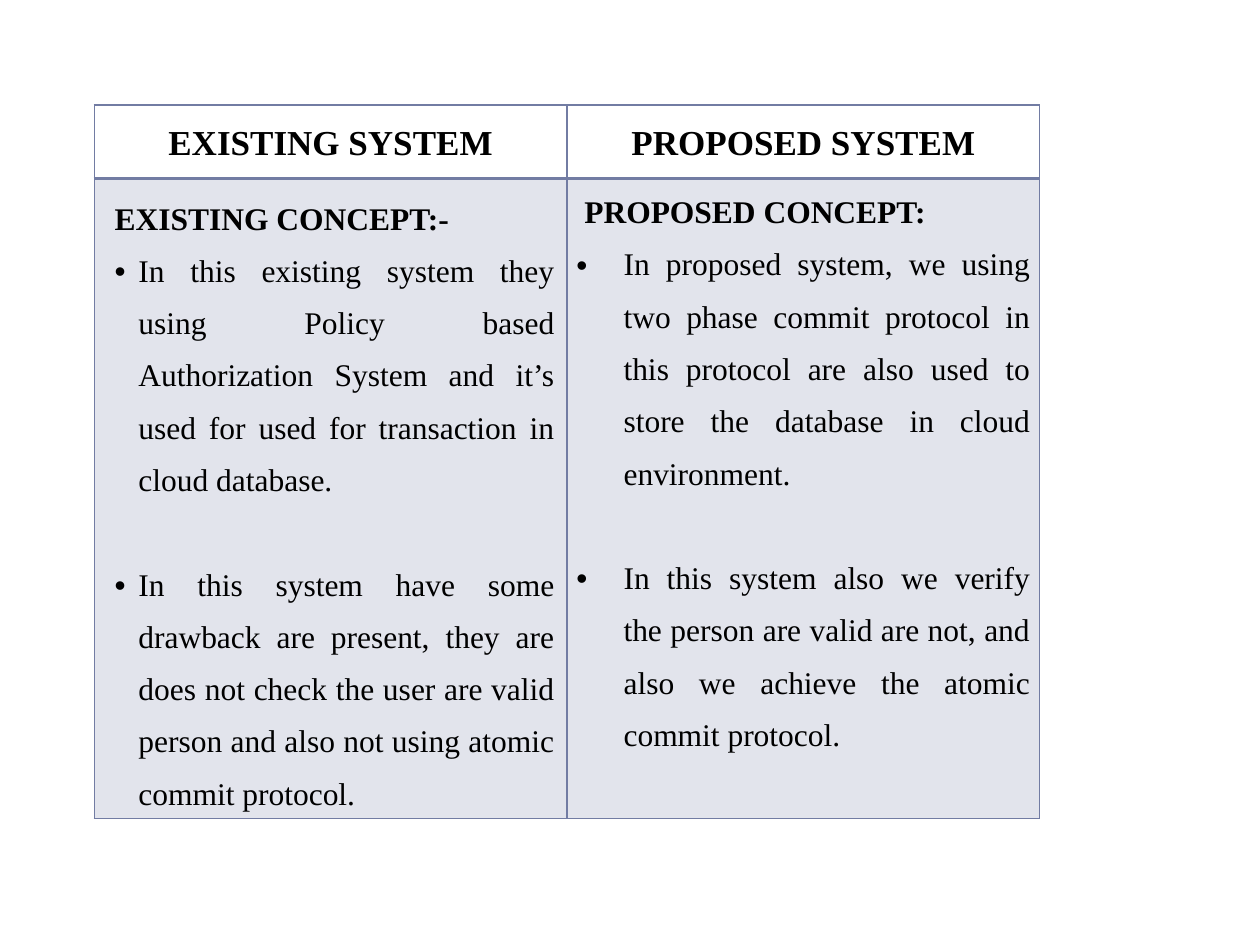
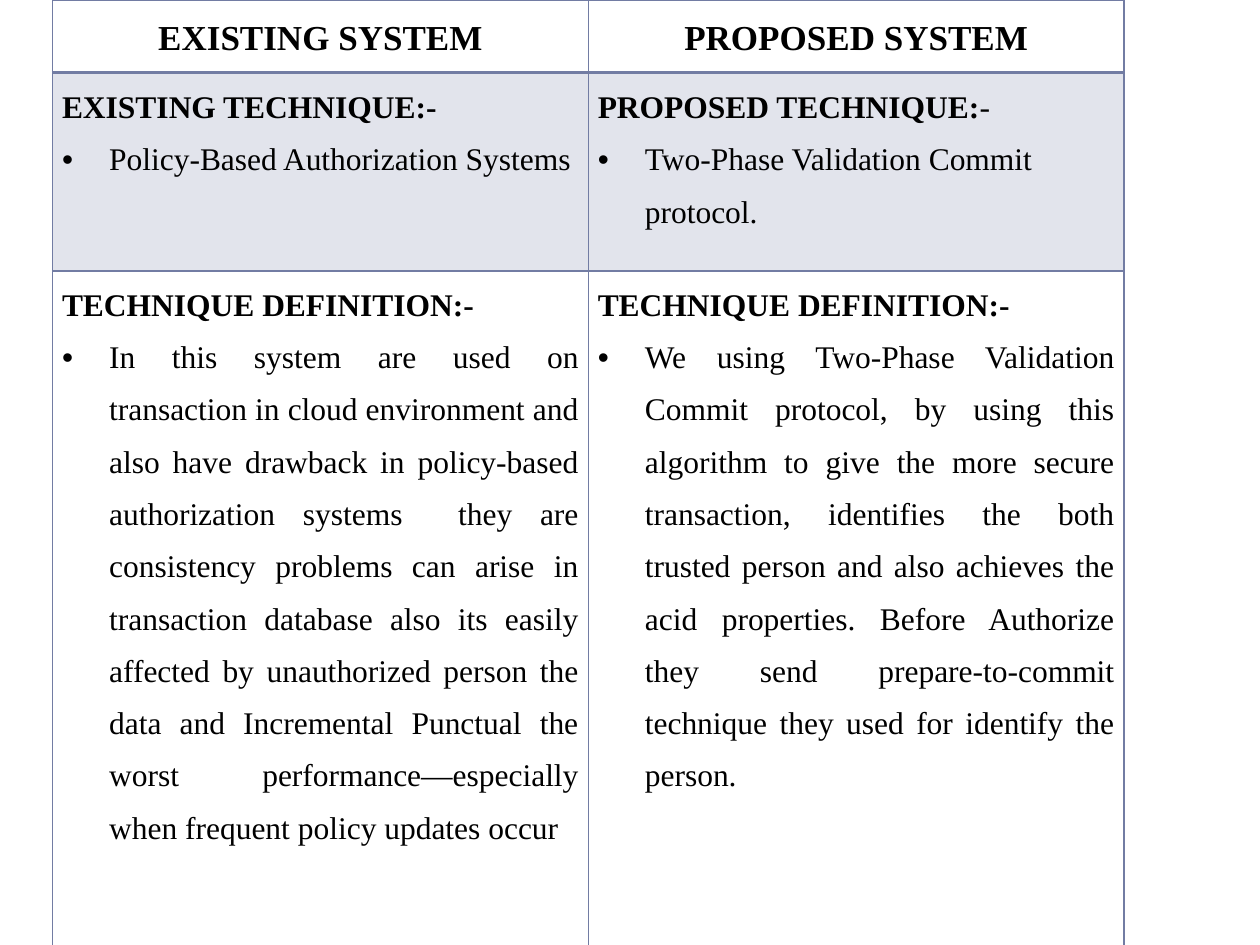
from dataclasses import dataclass, field

from lxml.etree import SubElement
from pptx import Presentation
from pptx.dml.color import RGBColor
from pptx.enum.text import PP_ALIGN as Align
from pptx.oxml.ns import qn
from pptx.util import Cm, Pt

FONT = "Times New Roman"
INK = "000000"
ACCENT = "727CA3"
TINT_ALPHA = 20
HEADER_SIZE, BODY_SIZE = 20, 18
LINE_SPACING = 1.5
HEADER_HEIGHT = 1.47
HEADERS = ["EXISTING SYSTEM", "PROPOSED SYSTEM"]


def rgb(hex_string):
    return RGBColor.from_string(hex_string)


@dataclass
class Point:
    """A bulleted paragraph; gap is the space before it in points."""
    text: str
    gap: float = 0
    align: Align = Align.JUSTIFY


@dataclass
class Entry:
    """The content of one body cell; lengths are in centimetres."""
    heading: str
    points: list
    heading_tail: str = ""
    heading_indent: float = 0
    bullet_start: float = 0
    bullet_hang: float = 0.95
    margins: tuple = field(default=(0.19, 0))


class ComparisonDeck:
    def __init__(self):
        self.deck = Presentation()
        self.deck.slide_width, self.deck.slide_height = Cm(25.4), Cm(19.05)
        self.slide = None

    def add_slide(self):
        self.slide = self.deck.slides.add_slide(self.deck.slide_layouts[6])

    def run(self, paragraph, text, size=BODY_SIZE, bold=False):
        font = self._styled(paragraph.add_run(), text).font
        font.size, font.bold = Pt(size), bold

    def _styled(self, run, text):
        run.text = text
        run.font.name = FONT
        run.font.color.rgb = rgb(INK)
        return run

    def indent(self, paragraph, start, hang=0):
        """Start the first line at start and the other lines hang further in."""
        props = paragraph._p.get_or_add_pPr()
        props.set("marL", str(Cm(start + hang)))
        props.set("indent", str(-Cm(hang)))

    def bullet(self, paragraph):
        props = paragraph._p.get_or_add_pPr()
        SubElement(props, qn("a:buFont"), typeface="Arial")
        SubElement(props, qn("a:buChar"), char="•")

    def frame_cell(self, cell, margins, bottom_width=1, tinted=False):
        cell.margin_left = cell.margin_right = Cm(margins[0])
        cell.margin_top = cell.margin_bottom = Cm(margins[1])
        props = cell._tc.get_or_add_tcPr()
        for side in "LRTB":
            width = bottom_width if side == "B" else 1
            line = SubElement(props, qn(f"a:ln{side}"), w=str(Pt(width)))
            solid = SubElement(line, qn("a:solidFill"))
            SubElement(solid, qn("a:srgbClr"), val=ACCENT)
        if tinted:
            cell.fill.solid()
            cell.fill.fore_color.rgb = rgb(ACCENT)
            color = props.find(qn("a:solidFill")).find(qn("a:srgbClr"))
            SubElement(color, qn("a:alpha"), val=str(TINT_ALPHA * 1000))
        else:
            cell.fill.background()

    def header_cell(self, cell, title):
        self.frame_cell(cell, (0.19, 0), bottom_width=2)
        paragraph = cell.text_frame.paragraphs[0]
        paragraph.alignment = Align.CENTER
        paragraph.line_spacing = LINE_SPACING
        paragraph.space_before = paragraph.space_after = Pt(6)
        self.run(paragraph, title, HEADER_SIZE, bold=True)

    def body_cell(self, cell, entry, tinted):
        self.frame_cell(cell, entry.margins, tinted=tinted)
        heading = cell.text_frame.paragraphs[0]
        heading.line_spacing = LINE_SPACING
        self.indent(heading, entry.heading_indent)
        self.run(heading, entry.heading, bold=True)
        if entry.heading_tail:
            self.run(heading, entry.heading_tail)
        for point in entry.points:
            paragraph = cell.text_frame.add_paragraph()
            paragraph.alignment = point.align
            paragraph.line_spacing = LINE_SPACING
            paragraph.space_before = Pt(point.gap)
            self.indent(paragraph, entry.bullet_start, entry.bullet_hang)
            self.bullet(paragraph)
            self.run(paragraph, point.text)

    def comparison(self, left, top, column_width, body_heights, body_rows):
        """Add a two-column table whose odd body rows are tinted."""
        heights = [HEADER_HEIGHT, *body_heights]
        table = self.slide.shapes.add_table(
            len(heights), len(HEADERS), Cm(left), Cm(top),
            Cm(column_width * len(HEADERS)), Cm(sum(heights))).table
        table.first_row = table.horz_banding = False
        for column in table.columns:
            column.width = Cm(column_width)
        for row, height in zip(table.rows, heights):
            row.height = Cm(height)
        for column, title in enumerate(HEADERS):
            self.header_cell(table.cell(0, column), title)
        for row, entries in enumerate(body_rows, start=1):
            for column, entry in enumerate(entries):
                self.body_cell(table.cell(row, column), entry, row % 2 == 1)


CONCEPTS = [
    Entry("EXISTING CONCEPT:-", [
        Point("In this existing system they using Policy based Authorization "
              "System and it’s used for used for transaction in cloud database."),
        Point("In this system have some drawback are present, they are does not "
              "check the user are valid person and also not using atomic commit "
              "protocol.", gap=29.9),
    ], heading_indent=0.16, bullet_start=0.16, bullet_hang=0.48,
        margins=(0.25, 0.13)),
    Entry("PROPOSED CONCEPT:", [
        Point("In proposed system, we using two phase commit protocol in this "
              "protocol are also used to store the database in cloud environment."),
        Point("In this system also we verify the person are valid are not, and "
              "also we achieve the atomic commit protocol.", gap=29.9),
    ], heading_indent=0.16),
]

TECHNIQUES = [
    Entry("EXISTING TECHNIQUE:-",
          [Point("Policy-Based Authorization Systems", align=Align.LEFT)]),
    Entry("PROPOSED TECHNIQUE:",
          [Point("Two-Phase Validation Commit protocol.", align=Align.LEFT)],
          heading_tail="-"),
]

DEFINITIONS = [
    Entry("TECHNIQUE DEFINITION:-", [Point(text)]) for text in (
        "In this system are used on transaction in cloud environment and also "
        "have drawback in policy-based authorization systems  they are "
        "consistency problems can arise in transaction database also its easily "
        "affected by unauthorized person the data and Incremental Punctual the "
        "worst performance—especially when frequent policy updates occur",
        "We using Two-Phase Validation Commit protocol, by using this algorithm "
        "to give the more secure transaction, identifies the both trusted person "
        "and also achieves the acid properties. Before Authorize they send "
        "prepare-to-commit technique they used for identify the person.",
    )
]


def main():
    deck = ComparisonDeck()
    deck.add_slide()
    deck.comparison(1.9, 2.12, 9.53, [11.43], [CONCEPTS])
    deck.add_slide()
    deck.comparison(1.06, 0, 10.8, [3.99, 13.79], [TECHNIQUES, DEFINITIONS])
    deck.deck.save("out.pptx")


if __name__ == "__main__":
    main()
